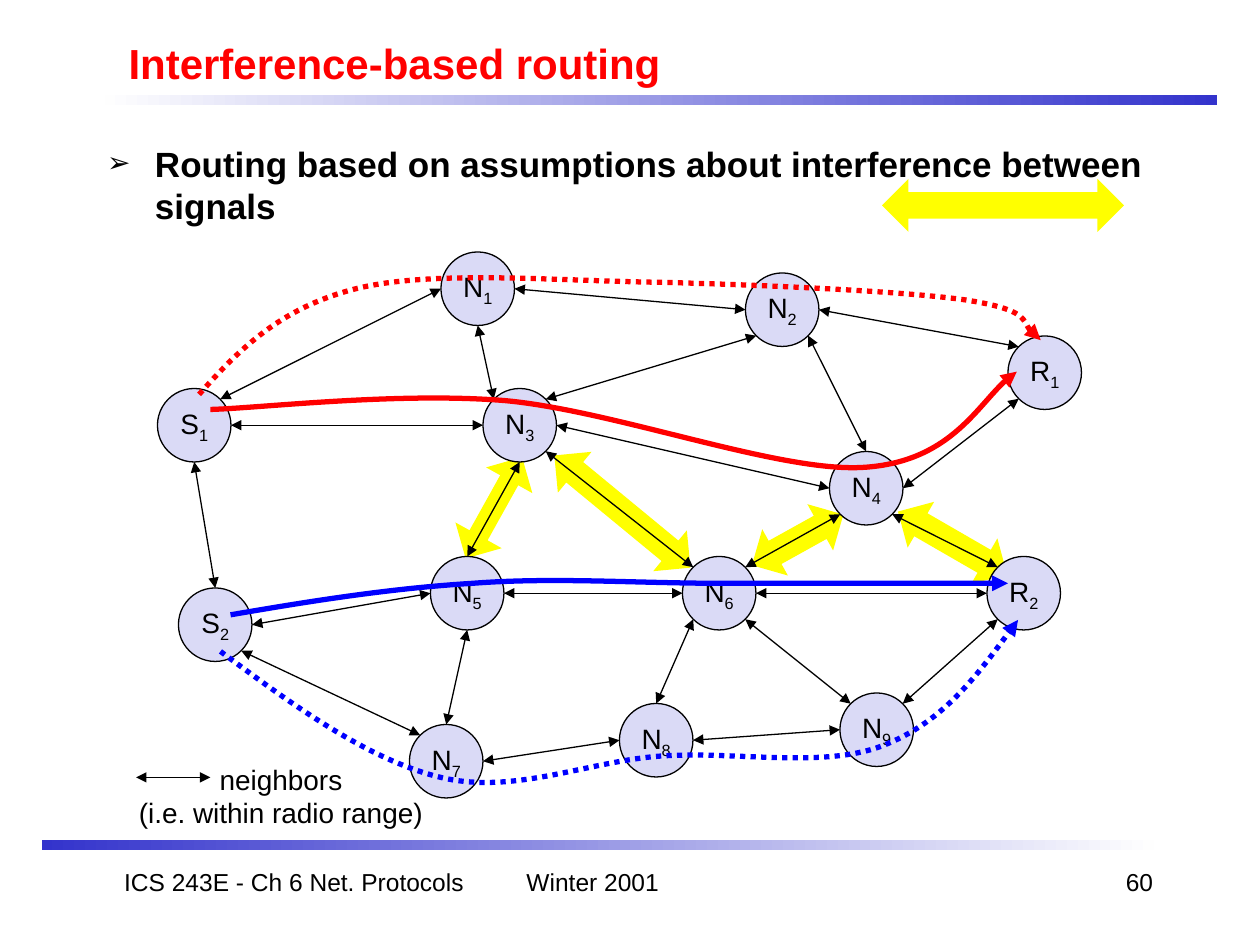
from math import cos, pi, sin

from lxml import etree
from pptx import Presentation
from pptx.dml.color import RGBColor
from pptx.enum.dml import MSO_LINE
from pptx.enum.shapes import MSO_CONNECTOR, MSO_SHAPE
from pptx.enum.text import MSO_ANCHOR, MSO_AUTO_SIZE, PP_ALIGN
from pptx.oxml.ns import qn
from pptx.util import Inches, Pt

LEFT, CENTER, RIGHT = PP_ALIGN.LEFT, PP_ALIGN.CENTER, PP_ALIGN.RIGHT
SOLID, DOTTED = MSO_LINE.SOLID, MSO_LINE.ROUND_DOT
BLACK = RGBColor(0x00, 0x00, 0x00)
RED = RGBColor(0xFF, 0x00, 0x00)
BLUE = RGBColor(0x00, 0x00, 0xFF)
YELLOW = RGBColor(0xFF, 0xFF, 0x00)
LILAC = RGBColor(0xDA, 0xDA, 0xF6)
BAR_BLUE = RGBColor(0x33, 0x33, 0xCC)
BAR_WHITE = RGBColor(0xFE, 0xFE, 0xFE)
FONT = "Arial"

# Content: the diagram grid has 12 units to the inch
UNIT = 1 / 12
NODE_SIZE = 7
TITLE = "Interference-based routing"
BODY = "Routing based on assumptions about interference between signals"
NODES = {  # name: column, row of the top left corner
    "S1": (15, 37), "N5": (41, 53), "N3": (46, 37), "N4": (79, 43),
    "N1": (42, 24), "N2": (71, 26), "R1": (96, 32), "R2": (94, 53),
    "N6": (65, 53), "N8": (59, 67), "S2": (17, 56), "N9": (80, 66),
    "N7": (39, 69),
}
# Points on a node, in eighths of a turn clockwise from the right
SITES = ["right", "bottom right", "bottom", "bottom left",
         "left", "top left", "top", "top right"]
LINKS = [
    ("S1", "right", "N3", "left"), ("N1", "bottom", "N3", "top left"),
    ("N3", "top right", "N2", "bottom left"), ("N3", "right", "N4", "left"),
    ("N2", "right", "R1", "top left"), ("N1", "right", "N2", "left"),
    ("S2", "right", "N5", "left"), ("S2", "bottom right", "N7", "top left"),
    ("N7", "right", "N8", "left"), ("N5", "right", "N6", "left"),
    ("N8", "right", "N9", "left"), ("N6", "right", "R2", "left"),
    ("S1", "top right", "N1", "left"), ("N9", "top right", "R2", "bottom left"),
    ("N5", "top", "N3", "bottom"), ("N3", "bottom right", "N6", "top left"),
    ("N6", "top right", "N4", "bottom left"),
    ("N4", "bottom right", "R2", "top left"), ("N7", "top", "N5", "bottom"),
    ("N6", "bottom left", "N8", "top"), ("S2", "top", "S1", "bottom"),
    ("N6", "bottom right", "N9", "top left"), ("N2", "bottom right", "N4", "top"),
    ("R1", "bottom left", "N4", "right"),
]
INTERFERENCE = [  # left, top, height, rotation, head share, shaft share
    (6.12, 3.87, 0.83, 61, 0.4, 0.5),
    (3.71, 3.57, 0.92, 29.1, 0.64, 0.39),
    (4.73, 3.36, 1.4, 309.5, 0.67, 0.5),
    (7.35, 3.81, 1, 300, 0.48, 0.5),
    (7.75, 0.67, 1.92, 90, 0.92, 0.5),
]
ROUTES = [  # colour, dash, start followed by Bezier triples
    (RED, SOLID, [(1.67, 3.25), (2.06, 3.24), (3.15, 3.11), (4.01, 3.18),
                  (4.88, 3.26), (6.18, 3.75), (6.85, 3.71),
                  (7.53, 3.67), (7.82, 3.11), (8.07, 2.95)]),
    (BLUE, SOLID, [(1.83, 4.88), (2.47, 4.77), (3.1, 4.67), (3.75, 4.63),
                   (4.4, 4.58), (5.04, 4.63), (5.75, 4.63),
                   (6.46, 4.63), (7.23, 4.63), (8, 4.63)]),
    (BLUE, DOTTED, [(1.75, 5.17), (2.33, 5.6), (2.92, 6.03), (3.5, 6.17),
                    (4.08, 6.31), (4.67, 6.04), (5.25, 6),
                    (5.83, 5.96), (6.53, 6.1), (7, 5.92),
                    (7.47, 5.74), (7.78, 5.33), (8.08, 4.92)]),
    (RED, DOTTED, [(1.58, 3.13), (1.9, 2.77), (2.23, 2.44), (2.83, 2.29),
                   (3.44, 2.14), (4.42, 2.23), (5.23, 2.24),
                   (6.03, 2.26), (7.16, 2.31), (7.66, 2.38),
                   (8.17, 2.46), (8.14, 2.64), (8.26, 2.7)]),
]
BARS = [(0.83, 0.75, BAR_WHITE, BAR_BLUE), (0.33, 6.67, BAR_BLUE, BAR_WHITE)]
LABELS = [  # left, top, width, height, alignment, size, wrap, lines
    (0.98, 6, 2.5, 0.64, CENTER, 16, False,
     ["neighbors", "(i.e. within radio range)"]),
    (0.75, 6.83, 3.17, 0.5, CENTER, 14, True, ["ICS 243E - Ch 6 Net. Protocols"]),
    (7.17, 6.83, 2.08, 0.5, RIGHT, 14, True, ["60"]),
    (4.08, 6.83, 2.08, 0.5, LEFT, 14, True, ["Winter 2001"]),
]

presentation = Presentation()
presentation.slide_width, presentation.slide_height = Inches(10), Inches(7.5)
slide = presentation.slides.add_slide(presentation.slide_layouts[1])
shapes = slide.shapes


def add_run(paragraph, text, size, color=BLACK, bold=False):
    run = paragraph.add_run()
    run.text = text
    run.font.name, run.font.size, run.font.bold = FONT, Pt(size), bold
    run.font.color.rgb = color
    return run


def add_preset(kind, left, top, width, height):
    shape = shapes.add_shape(kind, *map(Inches, (left, top, width, height)))
    shape.shadow.inherit = False
    shape.line.fill.background()
    return shape


def add_arrowheads(line, *ends):
    properties = line._get_or_add_ln()
    for end in ends:
        etree.SubElement(properties, qn("a:" + end), type="triangle")


def add_link(start, end):
    connector = shapes.add_connector(
        MSO_CONNECTOR.STRAIGHT, *map(Inches, (*start, *end)))
    connector.line.color.rgb, connector.line.width = BLACK, Pt(0.75)
    add_arrowheads(connector.line, "headEnd", "tailEnd")
    etree.SubElement(connector._element.spPr, qn("a:effectLst"))


def site_point(name, site):
    angle, radius = SITES.index(site) * pi / 4, NODE_SIZE / 2
    column, row = NODES[name]
    return ((column + radius + radius * cos(angle)) * UNIT,
            (row + radius + radius * sin(angle)) * UNIT)


def add_route(color, dash, points):
    # The builder keeps whole numbers only, so draw in hundredths of an inch
    start, *others = [(round(x * 100), round(y * 100)) for x, y in points]
    builder = shapes.build_freeform(*start, scale=Inches(0.01))
    builder.add_line_segments(others, close=False)
    route = builder.convert_to_shape()
    route.shadow.inherit = False
    route.fill.background()
    route.line.color.rgb, route.line.width = color, Pt(3)
    route.line.dash_style = dash
    add_arrowheads(route.line, "tailEnd")
    # Turn every three straight segments into one curve
    segments = list(route._element.iter(qn("a:lnTo")))
    outline = segments[0].getparent()
    for first in range(0, len(segments), 3):
        curve = etree.SubElement(outline, qn("a:cubicBezTo"))
        for segment in segments[first:first + 3]:
            curve.append(segment[0])
            outline.remove(segment)


def fill_placeholder(shape, bounds, text, size, color, anchor):
    shape.left, shape.top, shape.width, shape.height = map(Inches, bounds)
    frame = shape.text_frame
    frame.auto_size, frame.vertical_anchor = MSO_AUTO_SIZE.NONE, anchor
    paragraph = frame.paragraphs[0]
    paragraph.alignment, paragraph.space_before = LEFT, Pt(0)
    add_run(paragraph, text, size, color, True)
    return paragraph


# Title and bulleted statement
fill_placeholder(shapes.title, (0.92, 0.25, 8.5, 0.5), TITLE, 24, RED,
                 MSO_ANCHOR.MIDDLE)
statement = fill_placeholder(slide.placeholders[1], (0.75, 1.08, 8.5, 5.58),
                             BODY, 20, BLACK, MSO_ANCHOR.TOP)
bullet = statement._p.get_or_add_pPr()
bullet.set("marL", str(Inches(0.38)))
bullet.set("indent", str(Inches(-0.38)))
bullet_color = etree.SubElement(bullet, qn("a:buClr"))
etree.SubElement(bullet_color, qn("a:srgbClr"), val=str(BLACK))
etree.SubElement(bullet, qn("a:buSzPct"), val="80000")
etree.SubElement(bullet, qn("a:buChar"), char="➢")

# Gradient bars
for left, top, *colors in BARS:
    bar = add_preset(MSO_SHAPE.RECTANGLE, left, top, 8.83, 0.08)
    bar.fill.gradient()
    bar.fill.gradient_angle = 0
    for stop, color in zip(bar.fill.gradient_stops, colors):
        stop.color.rgb = color

# Interference arrows
for left, top, height, rotation, *shares in INTERFERENCE:
    arrow = add_preset(MSO_SHAPE.UP_DOWN_ARROW, left, top, 0.42, height)
    arrow.rotation = rotation
    arrow.adjustments[0], arrow.adjustments[1] = shares
    arrow.fill.solid()
    arrow.fill.fore_color.rgb = YELLOW

# Nodes
for name, (column, row) in NODES.items():
    node = add_preset(MSO_SHAPE.OVAL, column * UNIT, row * UNIT,
                      NODE_SIZE * UNIT, NODE_SIZE * UNIT)
    node.fill.solid()
    node.fill.fore_color.rgb = LILAC
    node.line.color.rgb, node.line.width = BLACK, Pt(0.75)
    node.text_frame.word_wrap = False
    paragraph = node.text_frame.paragraphs[0]
    paragraph.alignment = CENTER
    add_run(paragraph, name[0], 16)
    subscript = add_run(paragraph, name[1], 16)
    subscript.font._element.set("baseline", "-25000")

# Neighbor links, legend sample and routes
for start, start_site, end, end_site in LINKS:
    add_link(site_point(start, start_site), site_point(end, end_site))
add_link((1.08, 6.17), (1.67, 6.17))
for route in ROUTES:
    add_route(*route)

# Legend and footer text
for left, top, width, height, alignment, size, wrap, lines in LABELS:
    frame = shapes.add_textbox(*map(Inches, (left, top, width, height))).text_frame
    frame.word_wrap = wrap
    for index, line in enumerate(lines):
        paragraph = frame.add_paragraph() if index else frame.paragraphs[0]
        paragraph.alignment = alignment
        add_run(paragraph, line, size)

presentation.save("out.pptx")
